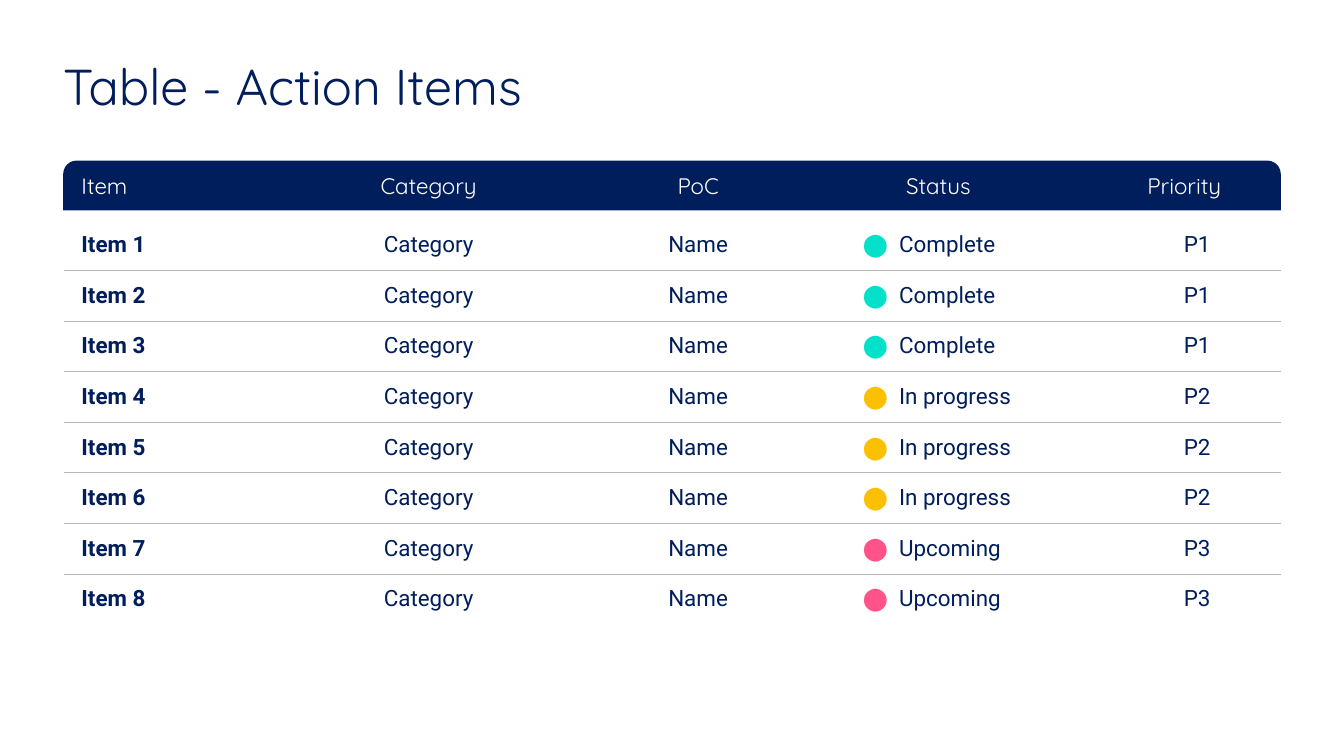
from lxml import etree
from pptx import Presentation
from pptx.dml.color import RGBColor
from pptx.enum.shapes import MSO_SHAPE
from pptx.enum.text import MSO_ANCHOR, PP_ALIGN
from pptx.oxml.ns import qn
from pptx.util import Pt

ROUNDED_TOP = MSO_SHAPE.ROUND_2_SAME_RECTANGLE
MIDDLE = MSO_ANCHOR.MIDDLE
LEFT, CENTER = PP_ALIGN.LEFT, PP_ALIGN.CENTER

NAVY = RGBColor(0x00, 0x1E, 0x5B)
WHITE = RGBColor(0xFF, 0xFF, 0xFF)
GRAY = RGBColor(0xB7, 0xB7, 0xB7)
TEAL = RGBColor(0x04, 0xE1, 0xCB)
AMBER = RGBColor(0xFC, 0xC0, 0x03)
PINK = RGBColor(0xFF, 0x53, 0x8A)

TITLE_FORMAT = {"name": "Quicksand", "size": Pt(54)}
HEADER_FORMAT = {"name": "Quicksand", "size": Pt(24), "bold": False}
BODY_FORMAT = {"name": "Roboto", "size": Pt(24), "bold": False}
ITEM_FORMAT = {**BODY_FORMAT, "bold": True}
INSETS = ("margin_left", "margin_top", "margin_right", "margin_bottom")

HEADERS = [
    ("Item", LEFT, 14.4),
    ("Category", CENTER, 0),
    ("PoC", CENTER, 0),
    ("Status ", CENTER, 0),
    ("Priority ", CENTER, 62),
]
HEADER_WIDTHS = [260.6, 260.6, 316.8, 204.5, 260.6]
BODY_WIDTHS = [260.6, 260.6, 316.8, 286.6, 179.3]
STATUS_GROUPS = [
    ("Complete", TEAL, "P1", 3),
    ("In progress", AMBER, "P2", 3),
    ("Upcoming", PINK, "P3", 2),
]


def set_values(target, values):
    for name, value in values.items():
        setattr(target, name, value)


def add_run(paragraph, text, values, color):
    run = paragraph.add_run()
    run.text = text
    set_values(run.font, values)
    run.font.color.rgb = color
    return run


def set_borders(cell, lined_sides):
    properties = cell._tc.get_or_add_tcPr()
    for side in ("L", "R", "T", "B"):
        line = etree.SubElement(properties, qn(f"a:ln{side}"), w=str(Pt(0.75)))
        if side in lined_sides:
            fill = etree.SubElement(line, qn("a:solidFill"))
            etree.SubElement(fill, qn("a:srgbClr"), val=str(GRAY))
        else:
            etree.SubElement(line, qn("a:noFill"))


def add_plain_table(slide, left, top, widths, row_count, row_height):
    frame = slide.shapes.add_table(
        row_count, len(widths), Pt(left), Pt(top), Pt(sum(widths)), Pt(row_height * row_count)
    )
    table = frame.table
    set_values(table, {"first_row": False, "horz_banding": False})
    for column, width in zip(table.columns, widths):
        column.width = Pt(width)
    for row in table.rows:
        row.height = Pt(row_height)
    return table


def format_cell(cell, alignment, indent=0, lined_sides=""):
    set_borders(cell, lined_sides)
    cell.fill.background()
    set_values(cell, {"vertical_anchor": MIDDLE, **dict.fromkeys(INSETS, Pt(4.5))})
    paragraph = cell.text_frame.paragraphs[0]
    paragraph.alignment = alignment
    paragraph._p.get_or_add_pPr().set("marL", str(Pt(indent)))
    return paragraph


def add_title(slide, left, top, width, height):
    text_frame = slide.shapes.add_textbox(Pt(left), Pt(top), Pt(width), Pt(height)).text_frame
    set_values(text_frame, {"word_wrap": True, **dict.fromkeys(INSETS, 0)})
    paragraph = text_frame.paragraphs[0]
    paragraph.line_spacing = 0.9
    add_run(paragraph, "Table - Action Items", TITLE_FORMAT, NAVY)


def add_header_bar(slide, left, top, width, height):
    bar = slide.shapes.add_shape(ROUNDED_TOP, Pt(left), Pt(top), Pt(width), Pt(height))
    bar.shadow.inherit = False
    bar.adjustments[0] = 0.27
    bar.adjustments[1] = 0
    bar.fill.solid()
    bar.fill.fore_color.rgb = NAVY
    bar.line.fill.background()


def add_header_table(slide, left, top, row_height):
    table = add_plain_table(slide, left, top, HEADER_WIDTHS, 1, row_height)
    for cell, (text, alignment, indent) in zip(table.rows[0].cells, HEADERS):
        paragraph = format_cell(cell, alignment, indent)
        add_run(paragraph, text, HEADER_FORMAT, WHITE)


def add_action_table(slide, left, top, row_height):
    items = [group[:3] for group in STATUS_GROUPS for _ in range(group[3])]
    table = add_plain_table(slide, left, top, BODY_WIDTHS, len(items), row_height)
    for index, (status, color, priority) in enumerate(items):
        lined_sides = ("T" if index else "") + ("B" if index < len(items) - 1 else "")
        columns = [
            (f"Item {index + 1}", LEFT, 14.4, ITEM_FORMAT),
            ("Category", CENTER, 0, BODY_FORMAT),
            ("Name", CENTER, 0, BODY_FORMAT),
            (status, LEFT, 13.7, BODY_FORMAT),
            (priority, CENTER, 0, BODY_FORMAT),
        ]
        for cell, (text, alignment, indent, values) in zip(table.rows[index].cells, columns):
            paragraph = format_cell(cell, alignment, indent, lined_sides)
            if text == status:
                dot = add_run(paragraph, "⬤ ", values, color)
                dot._r.get_or_add_rPr().set("spc", "300")
            add_run(paragraph, text, values, NAVY)


def main():
    presentation = Presentation()
    presentation.slide_width = Pt(1440)
    presentation.slide_height = Pt(810)
    slide = presentation.slides.add_slide(presentation.slide_layouts[6])
    add_header_bar(slide, 67.7, 172.1, 1304.6, 53.3)
    add_title(slide, 67.7, 66.2, 1192.3, 67.7)
    add_action_table(slide, 68.4, 235.4, 54.25)
    add_header_table(slide, 68.4, 172.1, 54)
    presentation.save("out.pptx")


if __name__ == "__main__":
    main()
